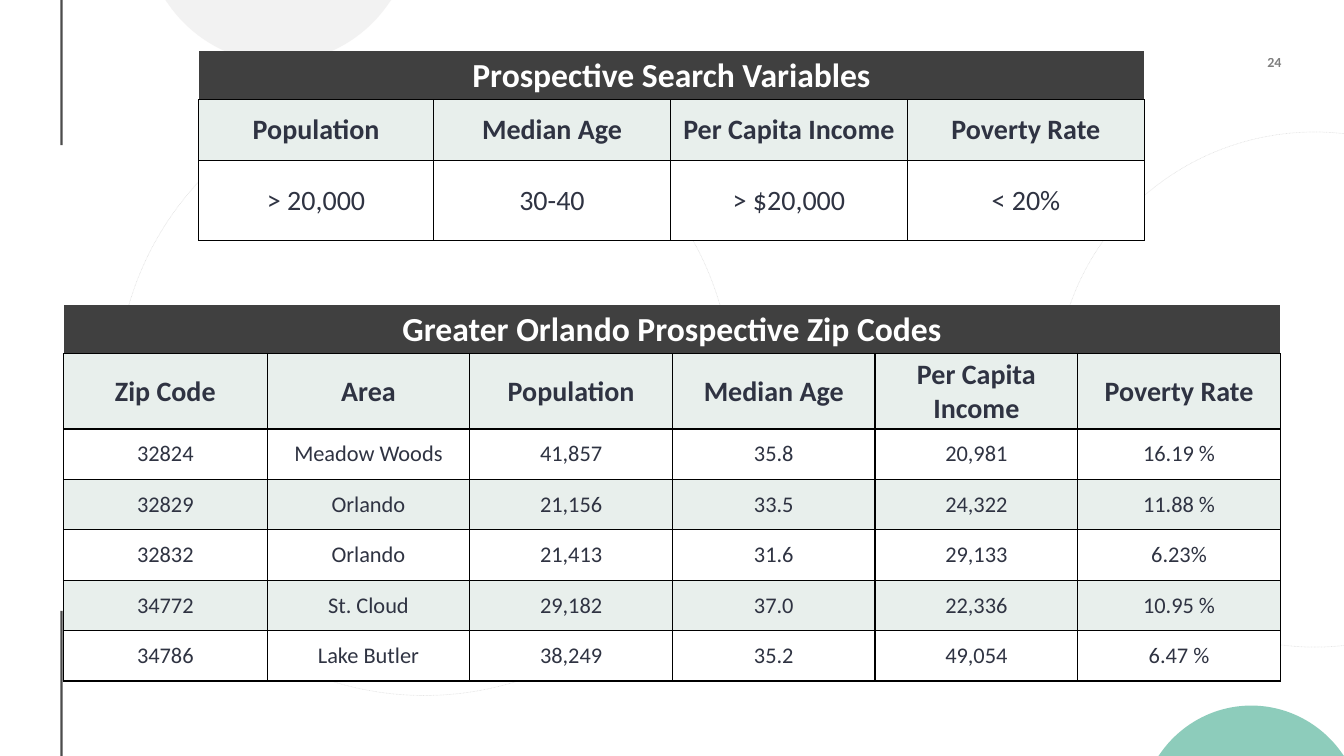
"""Build the slide of search variables and prospective zip codes."""
from lxml import etree
from pptx import Presentation
from pptx import util as u
from pptx.dml.color import RGBColor
from pptx.enum import dml, shapes, text
from pptx.oxml import ns

HUES = {
    "black": "000000", "white": "FFFFFF", "dark": "404040", "ink": "2F3342",
    "pale": "E8EFEC", "teal": "1D9A78", "grey": "E7E6E6",
}
FORMS = {
    "title": {"size": u.Pt(24), "bold": True},
    "head": {"size": u.Pt(20), "bold": True},
    "large": {"size": u.Pt(20), "bold": False},
    "body": {"size": u.Pt(16), "bold": False},
    "page": {"size": u.Pt(10), "bold": True},
}
SEARCH = [
    ["Population", "Median Age", "Per Capita Income", "Poverty Rate"],
    ["> 20,000", "30-40", "> $20,000", "< 20%"],
]
ZIPS = [
    ["Zip Code", "Area", "Population", "Median Age", "Per Capita Income", "Poverty Rate"],
    ["32824", "Meadow Woods", "41,857", "35.8", "20,981", "16.19 %"],
    ["32829", "Orlando", "21,156", "33.5", "24,322", "11.88 %"],
    ["32832", "Orlando", "21,413", "31.6", "29,133", "6.23%"],
    ["34772", "St. Cloud", "29,182", "37.0", "22,336", "10.95 %"],
    ["34786", "Lake Butler", "38,249", "35.2", "49,054", "6.47 %"],
]


def add(node, tag, **attrs):
    return etree.SubElement(node, ns.qn(tag), attrs)


def paint(fill, hue, alpha=100):
    fill.solid()
    fill.fore_color.rgb = RGBColor.from_string(HUES[hue])
    if alpha < 100:
        color = fill._xPr.find(ns.qn("a:solidFill"))[0]
        add(color, "a:alpha", val=str(alpha * 1000))


def write(frame, words, form, hue, align, alpha=100):
    par = frame.paragraphs[0]
    par.alignment = align
    run = par.add_run()
    run.text = words
    run.font.name = "Calibri"
    for key, value in FORMS[form].items():
        setattr(run.font, key, value)
    paint(run.font.fill, hue, alpha)


def add_rule(slide, top, end):
    x = u.Inches(0.61)
    rule = slide.shapes.add_connector(
        shapes.MSO_CONNECTOR.STRAIGHT, x, u.Inches(top), x, u.Inches(end))
    rule.line.width = u.Pt(1.5)
    paint(rule.line.fill, "black", 70)
    add(rule._element.spPr, "a:effectLst")


def add_ring(slide, *box):
    ring = slide.shapes.add_shape(shapes.MSO_SHAPE.OVAL, *map(u.Inches, box))
    ring.shadow.inherit = False
    ring.fill.background()
    ring.line.width = u.Pt(0.5)
    paint(ring.line.fill, "black", 10)
    ring.line.dash_style = dml.MSO_LINE.ROUND_DOT


def add_cap(slide, mid, edge, half, rise, hue):
    """Draw a round cap on a slide edge; a negative rise points up."""
    arm = [(1, 0), (0.98, 0.05), (0.77, 0.61), (0.41, 1)]
    shape = [(-x, y) for x, y in arm] + [(0, 1)] + arm[::-1]
    dots = [(u.Inches(mid + half * x), u.Inches(edge + rise * y)) for x, y in shape]
    pen = slide.shapes.build_freeform(*dots[0])
    pen.add_line_segments(dots[1:], close=True)
    cap = pen.convert_to_shape()
    lines = list(cap._element.iter(ns.qn("a:lnTo")))
    for first in (1, 4):
        curve = etree.Element(ns.qn("a:cubicBezTo"))
        lines[first].addprevious(curve)
        for line in lines[first:first + 3]:
            curve.append(line[0])
            line.getparent().remove(line)
    cap.shadow.inherit = False
    cap.line.fill.background()
    paint(cap.fill, hue, 50)


def add_page(slide, words):
    box = slide.shapes.add_textbox(*map(u.Inches, (11.94, 0.48, 0.77, 0.27)))
    frame = box.text_frame
    edges = dict.fromkeys(
        ["margin_left", "margin_top", "margin_right", "margin_bottom"], 0)
    looks = {**edges, "word_wrap": True, "vertical_anchor": text.MSO_ANCHOR.MIDDLE}
    for key, value in looks.items():
        setattr(frame, key, value)
    write(frame, words, "page", "black", text.PP_ALIGN.RIGHT, 50)


def set_cell(cell, words, form, hue, fill, sides="LRTB"):
    looks = {
        "margin_left": u.Inches(0.07), "margin_right": u.Inches(0.07),
        "margin_top": u.Inches(0.04), "margin_bottom": u.Inches(0.04),
        "vertical_anchor": text.MSO_ANCHOR.MIDDLE,
    }
    for key, value in looks.items():
        setattr(cell, key, value)
    props = cell._tc.get_or_add_tcPr()
    for side in "LRTB":
        line = add(props, f"a:ln{side}", w=str(u.Pt(1)))
        if side in sides:
            add(add(line, "a:solidFill"), "a:srgbClr", val=HUES["black"])
        else:
            add(line, "a:noFill")
    paint(cell.fill, fill)
    if words:
        write(cell.text_frame, words, form, hue, text.PP_ALIGN.CENTER)


def add_grid(slide, box, step, highs, title, rows, form):
    count = len(rows[0])
    frame = slide.shapes.add_table(len(highs), count, *map(u.Inches, box))
    table = frame.table
    table.first_row = table.horz_banding = False
    for c, col in enumerate(table.columns):
        col.width = u.Inches(step if c else box[2] - step * (count - 1))
    for row, high in zip(table.rows, highs):
        row.height = u.Inches(high)
    frame.height = u.Inches(box[3])
    for c in range(count):
        set_cell(table.cell(0, c), "" if c else title, "title", "white", "dark", "B")
    table.cell(0, 0).merge(table.cell(0, count - 1))
    for r, row in enumerate(rows):
        fill = "white" if r % 2 else "pale"
        for c, words in enumerate(row):
            set_cell(table.cell(r + 1, c), words, form if r else "head", "ink", fill)


def main():
    deck = Presentation()
    deck.slide_width, deck.slide_height = u.Inches(13.33), u.Inches(7.5)
    slide = deck.slides.add_slide(deck.slide_layouts[6])
    add_rule(slide, 6.06, 7.5)
    add_page(slide, "24")
    add_rule(slide, 0, 1.44)
    add_ring(slide, 10.47, 1.31, 5.14, 5.11)
    add_ring(slide, 1.16, 0.83, 6.1, 6.07)
    add_cap(slide, 12.41, 7.5, 0.92, -0.5, "teal")
    add_cap(slide, 2.76, 0, 1.12, 0.62, "grey")
    add_grid(slide, (1.97, 0.51, 9.38, 1.88), 2.35, [0.4, 0.6, 0.8],
             "Prospective Search Variables", SEARCH, "large")
    add_grid(slide, (0.63, 3.03, 12.07, 3.72), 2.01, [0.4, 0.33] + [0.5] * 5,
             "Greater Orlando Prospective Zip Codes", ZIPS, "body")
    deck.save("out.pptx")


if __name__ == "__main__":
    main()
